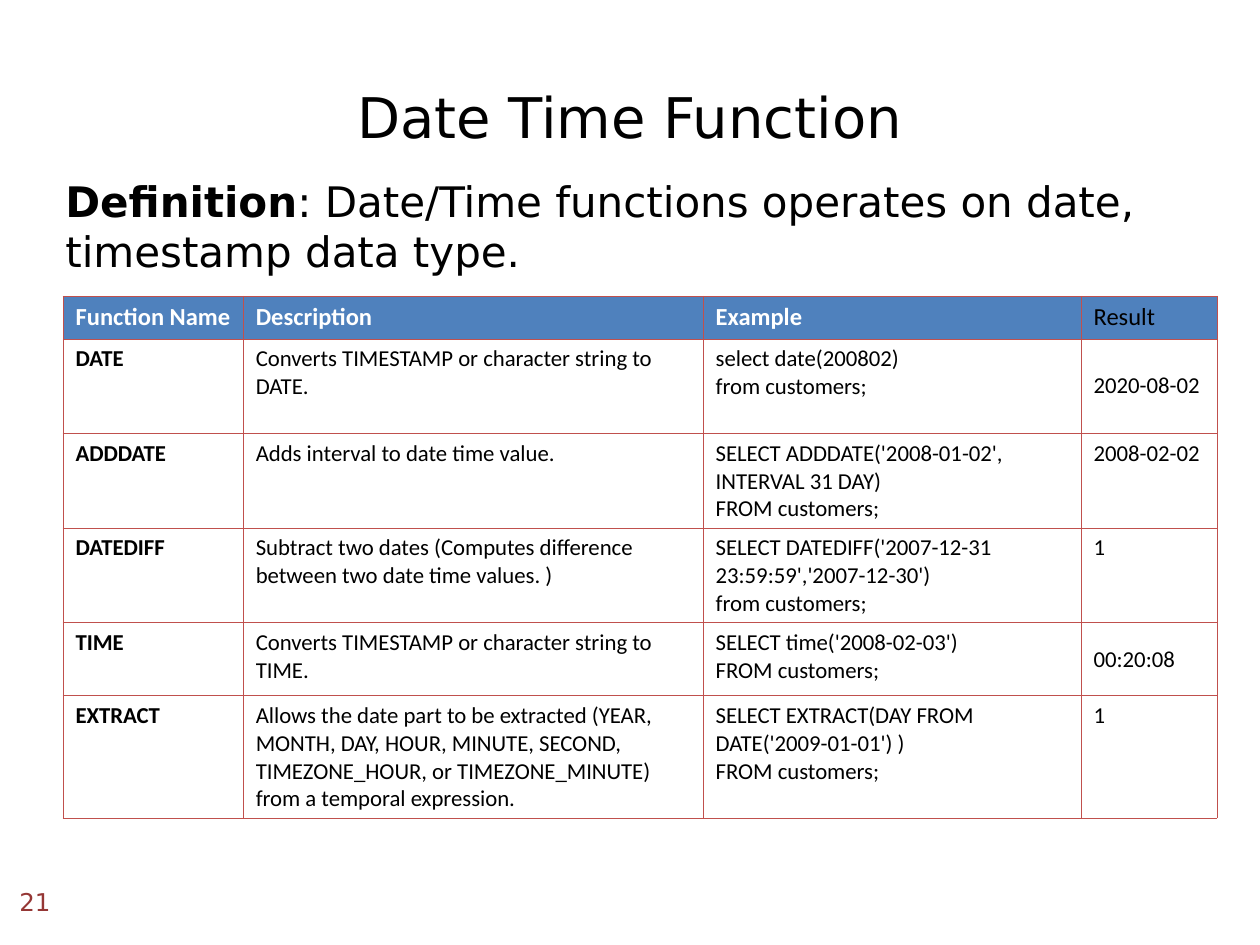
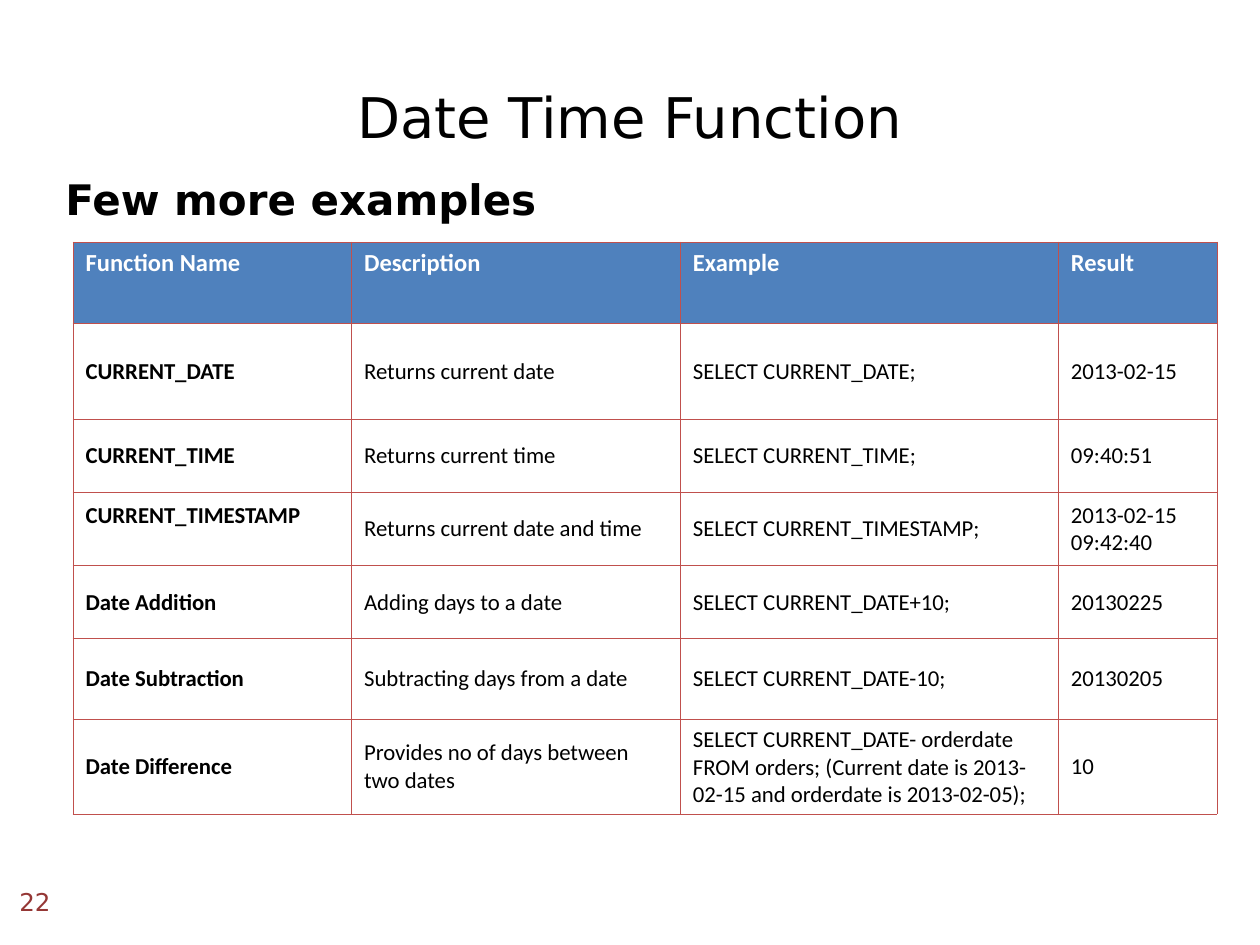
from dataclasses import dataclass

from pptx import Presentation, util as u
from pptx.dml.color import RGBColor
from pptx.enum import text
from pptx.oxml import parse_xml
from pptx.oxml.ns import nsdecls

Inches = u.Inches


@dataclass(frozen=True)
class Theme:
    black: str = "000000"
    white: str = "FFFFFF"
    header: str = "4F81BD"
    border: str = "C0504D"
    number: str = "953735"
    heading_font: str = "DejaVu Sans"
    table_font: str = "Calibri"
    title_size: int = 32
    lead_size: int = 24
    small_size: int = 14
    cell_size: int = 13
    border_width: float = 0.45


TOP, MIDDLE = text.MSO_ANCHOR.TOP, text.MSO_ANCHOR.MIDDLE
LEFT, CENTER, RIGHT = text.PP_ALIGN.LEFT, text.PP_ALIGN.CENTER, text.PP_ALIGN.RIGHT
HEADINGS = ("Function Name", "Description", "Example", "Result")


class Deck:
    def __init__(self, theme):
        self.theme = theme
        self.presentation = Presentation()
        self.presentation.slide_width = Inches(10)
        self.presentation.slide_height = Inches(7.5)
        self.slide = None

    def add_run(self, paragraph, words, size, color, font, bold=False):
        run = paragraph.add_run()
        run.text = words
        run.font.size = u.Pt(size)
        run.font.name = font
        run.font.bold = bold
        run.font.color.rgb = RGBColor.from_string(color)

    def text_box(self, box, runs, size, color, align=LEFT, anchor=TOP):
        """Add one paragraph made of (words, bold) runs."""
        shape = self.slide.shapes.add_textbox(*map(Inches, box))
        frame = shape.text_frame
        frame.word_wrap = True
        frame.vertical_anchor = anchor
        paragraph = frame.paragraphs[0]
        paragraph.alignment = align
        for words, bold in runs:
            self.add_run(paragraph, words, size, color, self.theme.heading_font, bold)

    def new_slide(self, title, number):
        theme = self.theme
        self.slide = self.presentation.slides.add_slide(self.presentation.slide_layouts[6])
        self.text_box((0.5, 0.3, 9, 1.25), [(title, False)], theme.title_size,
                      theme.black, CENTER, MIDDLE)
        self.text_box((0, 7.01, 0.5, 0.3), [(str(number), False)], theme.small_size,
                      theme.number, RIGHT, MIDDLE)

    def lead(self, top, height, runs):
        self.text_box((0.42, top, 9.08, height), runs, self.theme.lead_size, self.theme.black)

    def cell_borders(self, cell):
        properties = cell._tc.get_or_add_tcPr()
        for index, side in enumerate(("lnL", "lnR", "lnT", "lnB")):
            properties.insert(index, parse_xml(
                f'<a:{side} {nsdecls("a")} w="{u.Pt(self.theme.border_width)}"><a:solidFill>'
                f'<a:srgbClr val="{self.theme.border}"/></a:solidFill></a:{side}>'))

    def fill_cell(self, cell, words, size, color, bold, anchor):
        cell.vertical_anchor = anchor
        for index, line in enumerate(words.split("\n")):
            frame = cell.text_frame
            paragraph = frame.add_paragraph() if index else frame.paragraphs[0]
            self.add_run(paragraph, line, size, color, self.theme.table_font, bold)

    def table(self, left, top, widths, heights, rows, is_middle, plain_heading=None):
        """Add a header row and body rows; the first body column is bold."""
        theme = self.theme
        frame = self.slide.shapes.add_table(
            len(heights), len(widths), Inches(left), Inches(top),
            Inches(sum(widths)), Inches(sum(heights)))
        table = frame.table
        table.first_row = table.horz_banding = False
        for column, width in zip(table.columns, widths):
            column.width = Inches(width)
        for row, height in zip(table.rows, heights):
            row.height = Inches(height)

        for r, row in enumerate((HEADINGS, *rows)):
            for c, words in enumerate(row):
                cell = table.cell(r, c)
                if r == 0:
                    cell.fill.solid()
                    cell.fill.fore_color.rgb = RGBColor.from_string(theme.header)
                    plain = words == plain_heading
                    self.fill_cell(cell, words, theme.small_size,
                                   theme.black if plain else theme.white, not plain, TOP)
                else:
                    cell.fill.background()
                    self.fill_cell(cell, words, theme.cell_size, theme.black, c == 0,
                                   MIDDLE if is_middle(words) else TOP)
                self.cell_borders(cell)
        return table


DATE_FUNCTIONS = (
    ("DATE", "Converts TIMESTAMP or character string to DATE.",
     "select date(200802)\nfrom customers;", "2020-08-02"),
    ("ADDDATE", "Adds interval to date time value.",
     "SELECT ADDDATE('2008-01-02', INTERVAL 31 DAY)\nFROM customers;", "2008-02-02"),
    ("DATEDIFF", "Subtract two dates (Computes difference between two date time values. )",
     "SELECT DATEDIFF('2007-12-31 23:59:59','2007-12-30')\nfrom customers;", "1"),
    ("TIME", "Converts TIMESTAMP or character string to TIME.",
     "SELECT time('2008-02-03')\nFROM customers;", "00:20:08"),
    ("EXTRACT", "Allows the date part to be extracted (YEAR, MONTH, DAY, HOUR, MINUTE, "
     "SECOND, TIMEZONE_HOUR, or TIMEZONE_MINUTE) from a temporal expression.",
     "SELECT EXTRACT(DAY FROM DATE('2009-01-01') )\nFROM customers;", "1"),
)

MORE_EXAMPLES = (
    ("CURRENT_DATE", "Returns current date", "SELECT CURRENT_DATE;", "2013-02-15"),
    ("CURRENT_TIME", "Returns current time", "SELECT CURRENT_TIME;", "09:40:51"),
    ("CURRENT_TIMESTAMP", "Returns current date and time",
     "SELECT CURRENT_TIMESTAMP;", "2013-02-15 09:42:40"),
    ("Date Addition", "Adding days to a date", "SELECT CURRENT_DATE+10;", "20130225"),
    ("Date Subtraction", "Subtracting days from a date", "SELECT CURRENT_DATE-10;", "20130205"),
    ("Date Difference", "Provides no of days between two dates",
     "SELECT CURRENT_DATE- orderdate FROM orders; (Current date is 2013-02-15 "
     "and orderdate is 2013-02-05);", "10"),
)


def main():
    deck = Deck(Theme())

    # Definition and main functions
    deck.new_slide("Date Time Function", 21)
    deck.table(0.5, 2.35, (1.43, 3.65, 3, 1.08), (0.34, 0.75, 0.75, 0.75, 0.58, 0.97),
               DATE_FUNCTIONS, lambda words: words in ("2020-08-02", "00:20:08"),
               plain_heading="Result")
    deck.lead(1.34, 0.9, [
        ("Definition", True),
        (": Date/Time functions operates on date, timestamp data type.", False)])

    # Further examples
    deck.new_slide("Date Time Function", 22)
    examples = deck.table(0.58, 1.92, (2.21, 2.61, 3, 1.26),
                          (0.65, 0.76, 0.58, 0.58, 0.58, 0.64, 0.65),
                          MORE_EXAMPLES, lambda words: True)
    # The timestamp name sits one line higher than its row
    examples.cell(3, 0).margin_bottom = Inches(0.26)
    deck.lead(1.33, 0.5, [("Few more examples", True)])

    deck.presentation.save("out.pptx")


if __name__ == "__main__":
    main()
